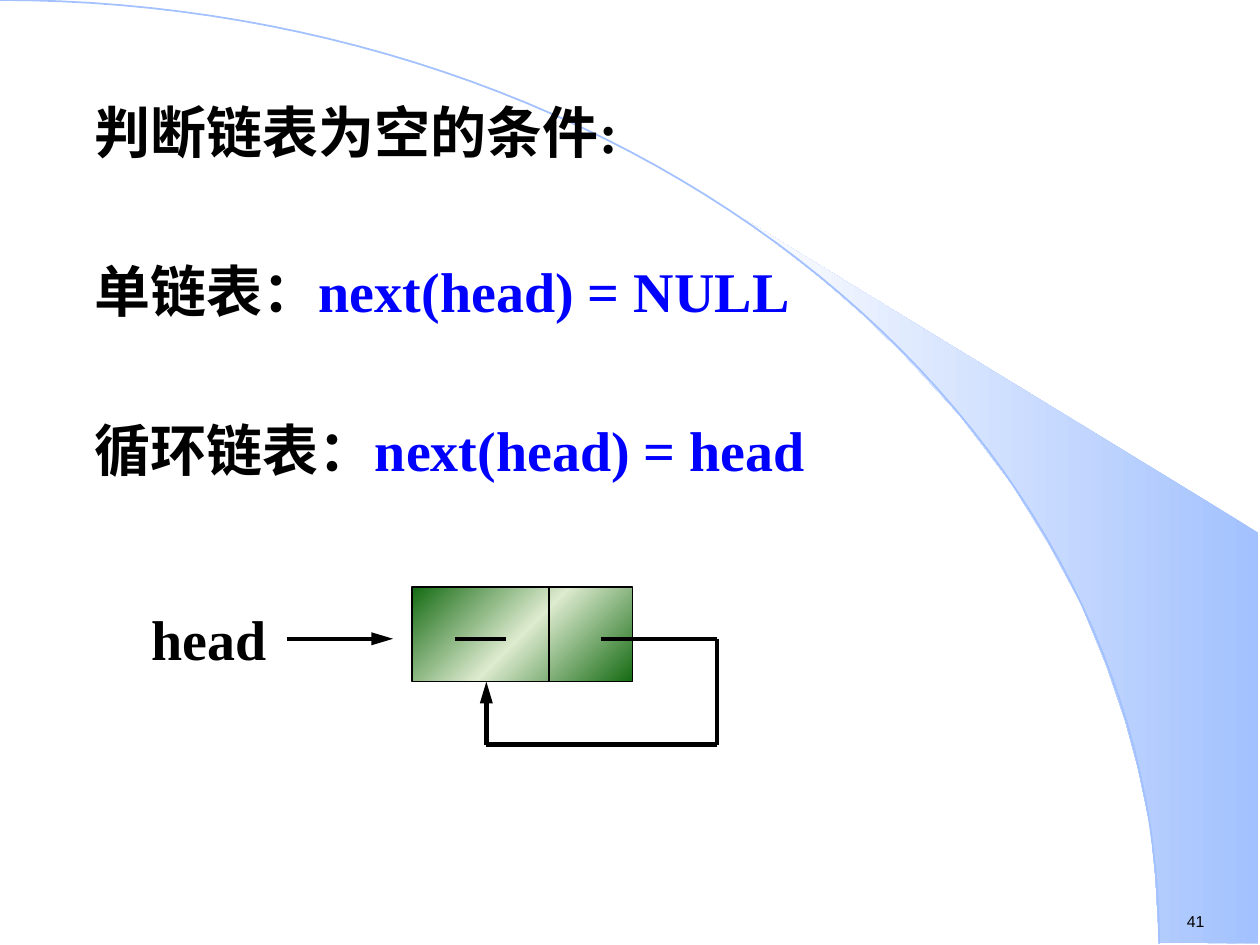
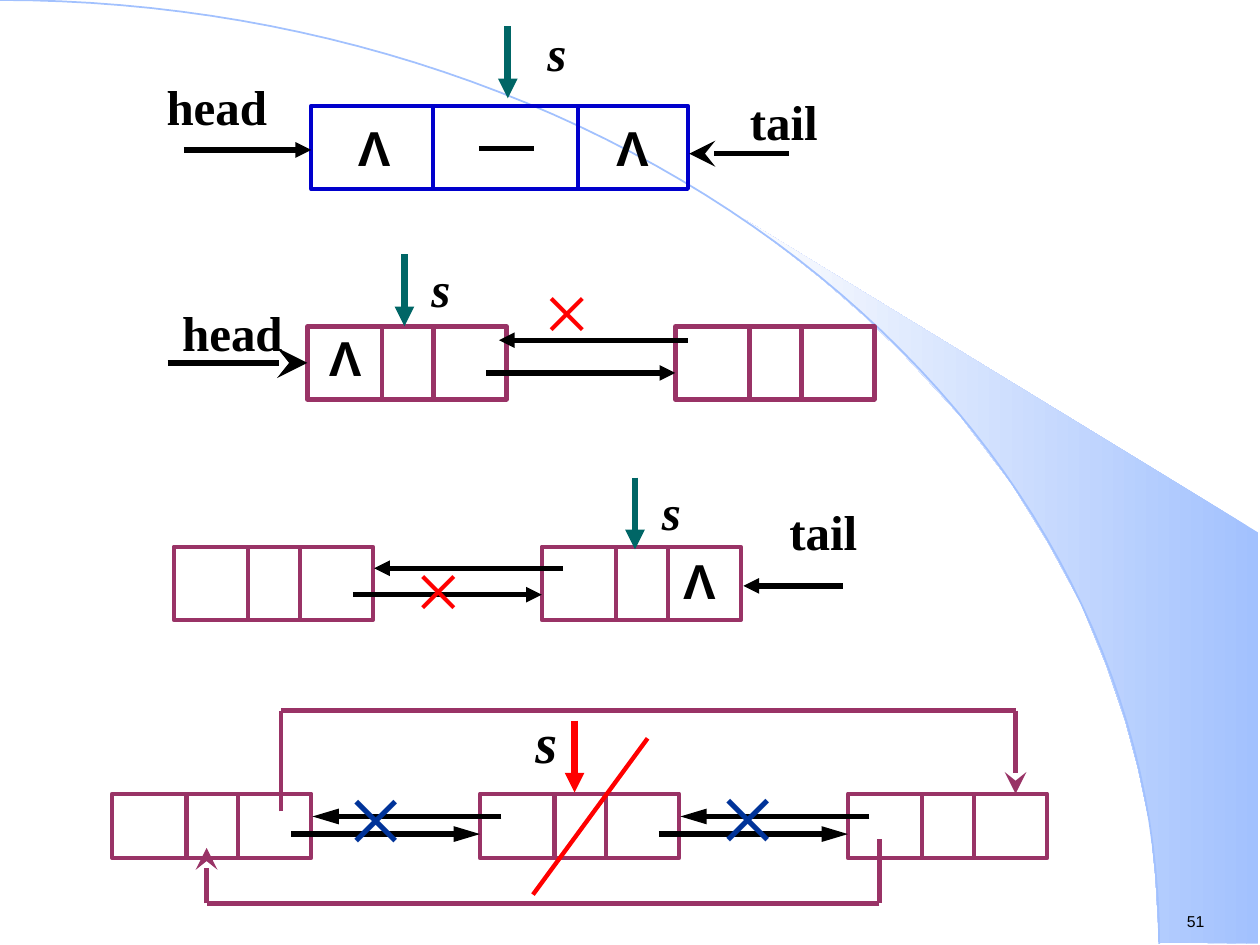
import math
from dataclasses import dataclass

from lxml import etree
from pptx import Presentation
from pptx.dml.color import RGBColor
from pptx.enum import shapes as kinds, text as modes
from pptx.oxml import ns
from pptx.util import Inches, Pt


@dataclass(frozen=True)
class Theme:
    """Colours, fonts and type sizes of both slides."""
    black: str = "000000"
    blue: str = "0000FF"
    navy: str = "0000CC"
    cross: str = "003399"
    plum: str = "993366"
    teal: str = "006666"
    red: str = "FF0000"
    sky: str = "A2C1FE"
    pale: str = "FEFEFE"
    green: str = "156B13"
    mint: str = "DDEBCF"
    serif: str = "Times New Roman"
    sans: str = "Arial"
    large: int = 32
    label: int = 28
    small: int = 9
    mark: int = 48
    wide: int = 60


T = Theme()
LEFT, MID, RIGHT = (modes.PP_ALIGN.LEFT, modes.PP_ALIGN.CENTER,
                    modes.PP_ALIGN.RIGHT)
WING = [(9.2, 7.48), (9.99, 7.49), (9.99, 4.23), (5.89, 1.73), (6.24, 1.99),
        (6.53, 2.22), (6.85, 2.5), (7.16, 2.8), (7.62, 3.3), (8.03, 3.84),
        (8.32, 4.31), (8.58, 4.79), (8.78, 5.28), (8.93, 5.72), (9.03, 6.09),
        (9.13, 6.56), (9.17, 6.96)]
CELL, STEP = 1.58, 2.92          # node width and distance between nodes
CUTS = (0.59, 1.0)               # dividers inside a node


def apply(item, form):
    for name, value in form.items():
        setattr(item, name, value)


def ink(line, color, width):
    line.color.rgb = RGBColor.from_string(color)
    line.width = Pt(width)


# Fills and outlines
def shade(shape, stops, angle):
    shape.fill.gradient()
    grad = shape._element.spPr.find(ns.qn("a:gradFill"))
    for child in list(grad):
        grad.remove(child)
    group = etree.SubElement(grad, ns.qn("a:gsLst"))
    for place, color in stops:
        stop = etree.SubElement(group, ns.qn("a:gs"), pos=str(place * 1000))
        etree.SubElement(stop, ns.qn("a:srgbClr"), val=color)
    etree.SubElement(grad, ns.qn("a:lin"), ang=str(angle * 60000), scaled="0")


def outline(slide, points, close):
    start, *rest = [(Inches(x), Inches(y)) for x, y in points]
    pen = slide.shapes.build_freeform(*start)
    pen.add_line_segments(rest, close=close)
    shape = pen.convert_to_shape()
    shape.shadow.inherit = False
    return shape


# Lines, arrows and routes with corners
def line(slide, start, end, color=T.black, width=3, head=None, size="med med"):
    ends = [Inches(v) for v in (*start, *end)]
    link = slide.shapes.add_connector(kinds.MSO_CONNECTOR.STRAIGHT, *ends)
    ink(link.line, color, width)
    props = link._element.spPr
    if head:
        wide, long = size.split()
        etree.SubElement(props.find(ns.qn("a:ln")), ns.qn("a:tailEnd"),
                         type=head, w=wide, len=long)
    etree.SubElement(props, ns.qn("a:effectLst"))


def arrow(slide, start, end, **form):
    line(slide, start, end, **{"head": "triangle", **form})


def route(slide, points, head, size, **form):
    pairs = list(zip(points, points[1:]))
    for start, end in pairs[:-1]:
        line(slide, start, end, **form)
    line(slide, *pairs[-1], head=head, size=size, **form)


# Text
def write(slide, spot, rows, size=T.label, font=T.serif, bold=True,
          slant=False, align=LEFT, pitch=None, gap=0, anchor="TOP"):
    """Each row is a list of (words, colour) pairs."""
    box = slide.shapes.add_textbox(*[Inches(v) for v in spot])
    frame = box.text_frame
    apply(frame, {"word_wrap": True, "margin_left": 0, "margin_right": 0,
                  "margin_top": 0, "margin_bottom": 0,
                  "auto_size": modes.MSO_AUTO_SIZE.SHAPE_TO_FIT_TEXT,
                  "vertical_anchor": modes.MSO_ANCHOR[anchor]})
    for index, row in enumerate(rows):
        para = frame.add_paragraph() if index else frame.paragraphs[0]
        apply(para, {"alignment": align, "line_spacing": pitch})
        if index:
            para.space_before = Pt(gap)
        for words, color in row:
            run = para.add_run()
            run.text = words
            apply(run.font, {"size": Pt(size), "name": font,
                             "bold": bold, "italic": slant})
            run.font.color.rgb = RGBColor.from_string(color)


def label(slide, words, x, y, w, h=0.37, color=T.black, **form):
    form = {"align": MID, "pitch": 0.8, **form}
    write(slide, (x, y, w, h), [[(words, color)]], **form)


def null(slide, x, y, w=0.32):
    label(slide, "Λ", x, y, w, font=T.sans)


def strike(slide, x, y, size=T.mark, color=T.red, **form):
    label(slide, "×", x, y, 0.79, 0.64, color=color, size=size,
          bold=False, align=LEFT, **form)


def point(slide, x, y, color=T.teal):
    arrow(slide, (x, y), (x, y + 0.57), color=color, width=3.75)


# List nodes
def node(slide, x, y, h, w=CELL, cuts=CUTS, color=T.plum, width=2.5):
    box = slide.shapes.add_shape(kinds.MSO_SHAPE.RECTANGLE, Inches(x),
                                 Inches(y), Inches(w), Inches(h))
    box.shadow.inherit = False
    box.fill.background()
    ink(box.line, color, width)
    for cut in cuts:
        line(slide, (x + cut, y), (x + cut, y + h), color, width)
    return box


def pair(slide, x, back, forth, slip=0, size="med med"):
    """Two arrows between the node at x and the next one."""
    arrow(slide, (x + STEP + 0.17 - slip, back), (x + CELL + 0.01 - slip, back),
          size=size)
    arrow(slide, (x + 1.42, forth), (x + STEP, forth), size=size)


# Shared background and page number
def base(deck, number):
    slide = deck.slides.add_slide(deck.slide_layouts[6])
    wing = outline(slide, WING, True)
    shade(wing, [(0, T.sky), (100, T.pale)], 180)
    wing.line.fill.background()
    turns = [math.radians(d * 1.5) for d in range(61)]
    arc = outline(slide, [(9.2 * math.sin(a), 7.49 * (1 - math.cos(a)))
                          for a in turns], False)
    arc.fill.background()
    ink(arc.line, T.sky, 1)
    write(slide, (9.42, 7.24, 0.5, 0.15), [[(number, T.black)]],
          size=T.small, font=T.sans, bold=False)
    return slide


def empty(deck):
    slide = base(deck, "41")
    write(slide, (0.75, 0.77, 7.65, 3.48), [
        [("判断链表为空的条件:", T.black)],
        [("单链表：", T.black), ("next(head) = NULL", T.blue)],
        [("循环链表：", T.black), ("next(head) = head", T.blue)],
    ], size=T.large, gap=52.5)

    # Ring of one node
    box = node(slide, 3.27, 4.66, 0.75, 1.75, (1.09,), T.black, 1)
    shade(box, [(0, T.green), (50, T.mint), (100, T.green)], 225)
    arrow(slide, (2.28, 5.07), (3.12, 5.07), width=2.5, size="med lg")
    line(slide, (3.61, 5.07), (4.02, 5.07), width=2.5)
    route(slide, [(4.77, 5.07), (5.69, 5.07), (5.69, 5.91), (3.86, 5.91),
                  (3.86, 5.41)], "triangle", "med lg", width=2.5)
    label(slide, "head", 1.2, 4.8, 1.1, 0.54, size=T.large, align=LEFT,
          pitch=None)


def remove(deck):
    slide = base(deck, "51")

    # Node in the middle
    bend = {"head": "stealth", "size": "lg lg", "color": T.plum, "width": 2.5}
    route(slide, [(6.98, 6.66), (6.98, 7.17), (1.64, 7.17), (1.64, 6.73)],
          **bend)
    route(slide, [(2.23, 6.44), (2.23, 5.64), (8.06, 5.64), (8.06, 6.3)],
          **bend)
    starts = [0.89 + STEP * i for i in range(3)]
    for x in starts:
        node(slide, x, 6.3, 0.51)
    for x in starts[:2]:
        pair(slide, x, 6.48, 6.62, size="med lg")
    label(slide, "s", 3.94, 5.72, 0.79, 0.43, size=T.large, slant=True)
    point(slide, 4.56, 5.72, T.red)
    line(slide, (5.14, 5.86), (4.23, 7.1), T.red, 2.5)
    for x, y in ((2.75, 6.16), (5.7, 6.15)):
        strike(slide, x, y, T.wide, T.cross)

    # Only node
    point(slide, 4.03, 0.21)
    label(slide, "s", 4.09, 0.27, 0.66, slant=True)
    node(slide, 2.47, 0.84, 0.66, 2.99, (0.97, 2.12), T.navy, 2.25)
    arrow(slide, (1.46, 1.19), (2.47, 1.19))
    line(slide, (3.8, 1.18), (4.24, 1.18))
    label(slide, "head", 1.18, 0.7, 0.94, align=RIGHT)
    for x in (2.64, 4.69):
        null(slide, x, 1.02, 0.66)
    arrow(slide, (6.26, 1.22), (5.47, 1.22), head="stealth", size="lg lg")
    label(slide, "tail", 5.91, 0.82, 0.58, align=RIGHT)

    # First node
    for x in (2.44, 2.44 + STEP):
        node(slide, x, 2.59, 0.58)
    pair(slide, 2.44, 2.7, 2.96, slip=0.07)
    strike(slide, 4.31, 2.21, anchor="MIDDLE")
    arrow(slide, (1.33, 2.88), (2.44, 2.88), width=3.5, head="stealth",
          size="lg lg")
    label(slide, "head", 1.33, 2.4, 1.03, 0.47, pitch=None)
    null(slide, 2.58, 2.69)
    label(slide, "s", 3.17, 2.14, 0.66, slant=True)
    point(slide, 3.21, 2.02)

    # Last node
    for x in (1.38, 1.38 + STEP):
        node(slide, x, 4.34, 0.58)
    pair(slide, 1.38, 4.51, 4.72)
    strike(slide, 3.29, 4.41, anchor="MIDDLE")
    label(slide, "tail", 6.02, 3.98, 1.03, 0.47, pitch=None)
    label(slide, "s", 5, 3.91, 0.66, slant=True)
    point(slide, 5.04, 3.79)
    arrow(slide, (6.69, 4.65), (5.9, 4.65))
    null(slide, 5.39, 4.46)


def main():
    deck = Presentation()
    apply(deck, {"slide_width": Inches(10), "slide_height": Inches(7.5)})
    empty(deck)
    remove(deck)
    deck.save("out.pptx")


if __name__ == "__main__":
    main()
